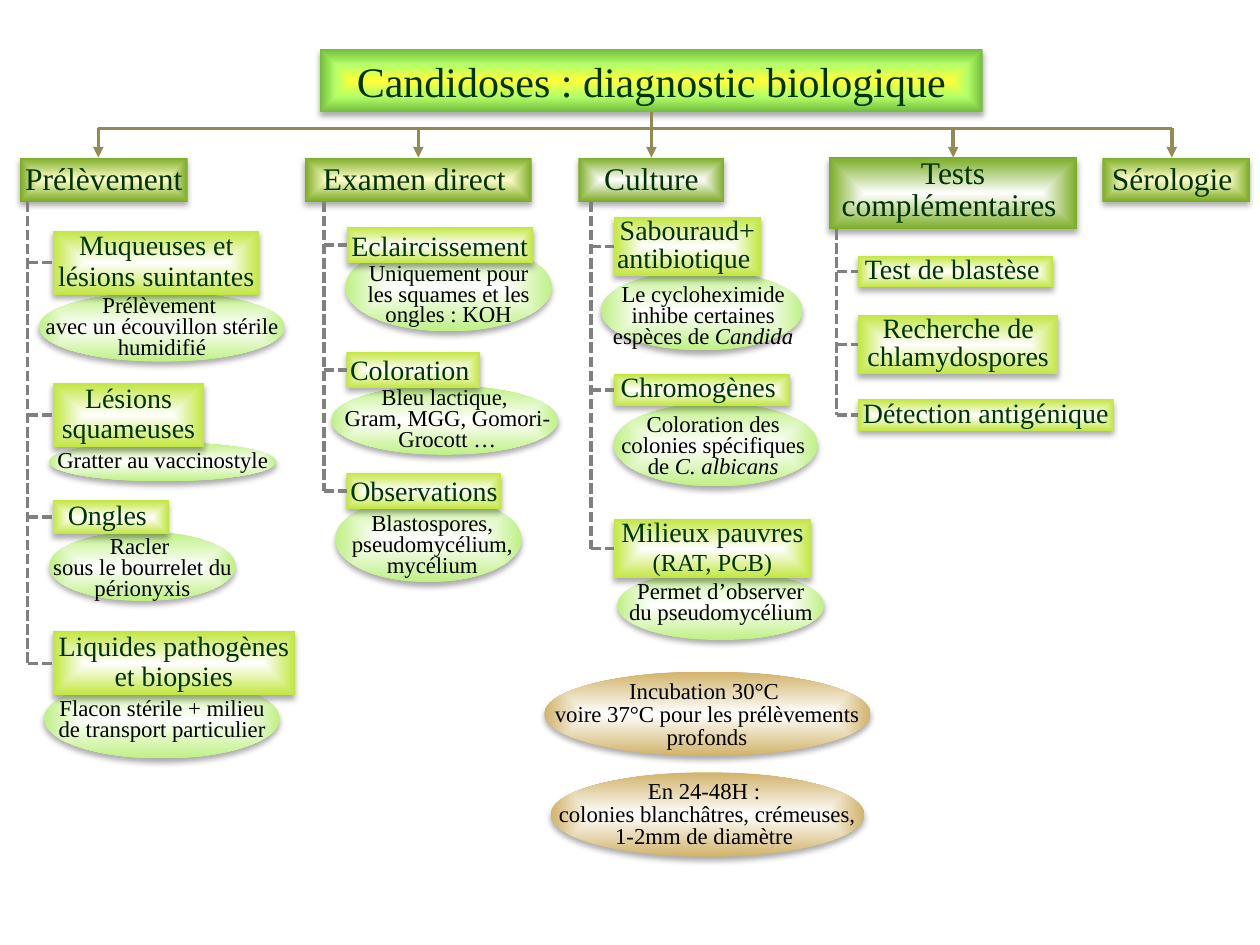
from lxml.etree import SubElement
from pptx import Presentation
from pptx.dml.color import RGBColor
from pptx.enum.dml import MSO_LINE
from pptx.enum.shapes import MSO_CONNECTOR, MSO_SHAPE
from pptx.enum.text import MSO_ANCHOR, MSO_AUTO_SIZE, PP_ALIGN
from pptx.oxml.ns import qn
from pptx.util import Cm, Pt

THEME = {
    "font": "Times New Roman",
    "title": 24, "head": 18, "item": 16, "small": 14, "note": 13,
    "dark": "003300", "black": "000000",
    "trunk": "948A54", "branch": "808080", "line": 2,
    "title_fill": ((0, "FFFF37"), (50, "B4FF69"), (100, "74BD3D")),
    "cream_head": ((0, "FFFFCC"), (100, "7BAC24")),
    "white_head": ((0, "FFFFFF"), (100, "7BAC24")),
    "item_fill": ((0, "FFFFFF"), (100, "C2E63E")),
    "note_fill": ((0, "FFFFFF"), (100, "BFF084")),
    "result_fill": ((0, "FFFFFF"), (100, "D1B369")),
}
THIN = (0.01, 0.01, 0.01, 0.01)
HEAD = (0.01, 0.01, 0.01, 0.04)
NONE = (0, 0, 0, 0)
HEAD_TOP, BAR_Y = 1.25, 1.02

TITLE = ("Candidoses : diagnostic biologique", (2.54, 0.39, 5.26, 0.5))

COLUMNS = [
    {"head": "Prélèvement ", "left": 0.16, "size": (1.33, 0.35), "arrow": 0.78,
     "fill": "cream_head", "spine": 0.22, "item_left": 0.42, "spacing": 0.9,
     "items": [
         (["Muqueuses et lésions suintantes"], (1.83, 1.64, 0.51)),
         (["Lésions squameuses"], (3.04, 1.2, 0.51)),
         (["Ongles "], (3.97, 0.92, 0.27)),
         (["Liquides pathogènes et biopsies"], (5.01, 1.92, 0.51))]},
    {"head": "Examen direct ", "left": 2.42, "size": (1.8, 0.35), "arrow": 3.32,
     "fill": "cream_head", "spine": 2.57, "item_left": 2.75, "spacing": None,
     "items": [
         (["Eclaircissement"], (1.8, 1.48, 0.29)),
         (["Coloration "], (2.79, 1.06, 0.29)),
         (["Observations"], (3.75, 1.23, 0.29))]},
    {"head": "Culture", "left": 4.59, "size": (1.16, 0.35), "arrow": 5.17,
     "fill": "white_head", "spine": 4.69, "item_left": 4.87, "spacing": Pt(16),
     "items": [
         (["Sabouraud+ antibiotique "], (1.72, 1.17, 0.47)),
         (["Chromogènes "], (2.97, 1.4, 0.25)),
         (["Milieux pauvres ", ("(RAT, PCB)", "small")], (4.12, 1.57, 0.47))]},
    {"head": "Tests complémentaires ", "left": 6.58, "size": (1.97, 0.57), "arrow": 7.58,
     "fill": "white_head", "spine": 6.64, "item_left": 6.81, "spacing": Pt(16),
     "items": [
         (["Test de blastèse "], (2.03, 1.55, 0.25)),
         (["Recherche de chlamydospores"], (2.5, 1.59, 0.47)),
         (["Détection antigénique"], (3.17, 2.03, 0.25))]},
    {"head": "Sérologie ", "left": 8.75, "size": (1.17, 0.35), "arrow": 9.3,
     "fill": "cream_head", "items": []},
]

NOTES = [
    ((0.31, 2.32, 1.95, 0.55), (0.31, 2.36, 1.95, 0.5),
     [["Prélèvement "], ["avec un écouvillon stérile humidifié"]]),
    ((0.39, 3.51, 1.8, 0.31), (0.39, 3.59, 1.8, 0.17), [["Gratter au vaccinostyle"]]),
    ((0.39, 4.22, 1.48, 0.55), (0.31, 4.27, 1.64, 0.5),
     [["Racler "], ["sous le bourrelet du périonyxis"]]),
    ((0.35, 5.39, 1.87, 0.63), (0.38, 5.56, 1.81, 0.34),
     [["Flacon stérile + milieu de transport particulier"]]),
    ((2.74, 1.93, 1.64, 0.7), (2.81, 2.1, 1.5, 0.51),
     [["Uniquement pour les squames et les ongles : KOH"]]),
    ((2.63, 3.06, 1.8, 0.55), (2.73, 3.09, 1.64, 0.5),
     [["Bleu lactique, "], ["Gram, MGG, Gomori-Grocott …"]]),
    ((2.66, 3.94, 1.48, 0.68), (2.68, 4.09, 1.5, 0.5),
     [["Blastospores, pseudomycélium, mycélium"]]),
    ((4.77, 2.15, 1.6, 0.63), (4.83, 2.27, 1.5, 0.51),
     [["Le cycloheximide inhibe certaines espèces de ", ("Candida", "italic")]]),
    ((4.87, 3.2, 1.62, 0.66), (4.91, 3.3, 1.5, 0.51),
     [["Coloration des colonies spécifiques de ", ("C. albicans", "italic")]]),
    ((4.9, 4.53, 1.64, 0.55), (4.97, 4.63, 1.5, 0.34),
     [["Permet d’observer du pseudomycélium"]]),
]

RESULTS = [
    ((4.32, 5.33, 2.59, 0.67), (4.33, 5.41, 2.56, 0.55),
     [["Incubation 30°C "], ["voire 37°C pour les prélèvements profonds"]]),
    ((4.37, 6.13, 2.49, 0.67), (4.41, 6.2, 2.4, 0.55),
     [["En 24-48H : "], ["colonies blanchâtres, crémeuses, 1-2mm de diamètre "]]),
]


def cm(inches):
    return Cm(inches * 2.54)


def add_color(parent, color, alpha=None):
    clr = SubElement(parent, qn("a:srgbClr"), val=color)
    if alpha:
        SubElement(clr, qn("a:alpha"), val=str(alpha * 1000))


def add_block(s, kind, at, fill):
    sp = s.shapes.add_shape(kind, *map(cm, at))
    sp.line.fill.background()
    pr = sp._element.spPr
    grad = pr.makeelement(qn("a:gradFill"), rotWithShape="1")
    stops = SubElement(grad, qn("a:gsLst"))
    for pos, color in THEME[fill]:
        add_color(SubElement(stops, qn("a:gs"), pos=str(pos * 1000)), color)
    way = SubElement(grad, qn("a:path"), attrib={"path": "shape"})
    SubElement(way, qn("a:fillToRect"), l="50000", t="50000", r="50000", b="50000")
    pr.find(qn("a:ln")).addprevious(grad)
    effects = SubElement(pr, qn("a:effectLst"))
    shadow = SubElement(effects, qn("a:outerShdw"), blurRad=str(Pt(3.5)),
                        dist=str(Pt(2.2)), dir="5400000", rotWithShape="0")
    add_color(shadow, THEME["black"], 32)
    return sp


def write(sp, paragraphs, size, color, spacing=None, insets=None):
    tf = sp.text_frame
    tf.word_wrap = True
    tf.auto_size = MSO_AUTO_SIZE.SHAPE_TO_FIT_TEXT
    tf.vertical_anchor = MSO_ANCHOR.TOP
    if insets:
        tf.margin_left, tf.margin_top, tf.margin_right, tf.margin_bottom = map(cm, insets)
    for i, runs in enumerate(paragraphs):
        p = tf.add_paragraph() if i else tf.paragraphs[0]
        p.alignment = PP_ALIGN.CENTER
        if spacing:
            p.line_spacing = spacing
        for run in runs:
            text, style = (run, None) if isinstance(run, str) else run
            r = p.add_run()
            r.text = text
            r.font.name = THEME["font"]
            r.font.size = Pt(THEME["small" if style == "small" else size])
            r.font.color.rgb = RGBColor.from_string(THEME[color])
            if style == "italic":
                r.font.italic = True


def add_line(s, x1, y1, x2, y2, color, dashed=False, arrow=False):
    c = s.shapes.add_connector(MSO_CONNECTOR.STRAIGHT, *map(cm, (x1, y1, x2, y2)))
    c.line.color.rgb = RGBColor.from_string(THEME[color])
    c.line.width = Pt(THEME["line"])
    if dashed:
        c.line.dash_style = MSO_LINE.SQUARE_DOT
    if arrow:
        SubElement(c.line._get_or_add_ln(), qn("a:tailEnd"), type="triangle")
    SubElement(c._element.spPr, qn("a:effectLst"))
    return c


def add_column(s, col, title):
    width, height = col["size"]
    head = add_block(s, MSO_SHAPE.RECTANGLE, (col["left"], HEAD_TOP, width, height), col["fill"])
    write(head, [[col["head"]]], "head", "dark", 0.85 if height > 0.5 else None, HEAD)
    x, middle = col["arrow"], col["left"] + width / 2
    centred = abs(x - middle) < 0.02
    x = middle if centred else x
    arrow = add_line(s, x, BAR_Y, x, HEAD_TOP, "trunk", arrow=True)
    if col["head"] == "Culture":
        arrow.begin_connect(title, 2)
    if centred:
        arrow.end_connect(head, 0)
    for runs, (top, w, h) in col["items"]:
        box = add_block(s, MSO_SHAPE.RECTANGLE, (col["item_left"], top, w, h), "item_fill")
        write(box, [runs], "item", "dark", col["spacing"], THIN)
        y = top + h / 2
        branch = add_line(s, col["spine"], y, col["item_left"], y, "branch", dashed=True)
        branch.end_connect(box, 1)
    if col["items"]:
        add_line(s, col["spine"], HEAD_TOP + height, col["spine"], y, "branch", dashed=True)


def main():
    prs = Presentation()
    prs.slide_width, prs.slide_height = cm(10), cm(7.5)
    s = prs.slides.add_slide(prs.slide_layouts[6])
    groups = ((RESULTS, "result_fill", Pt(13)), (NOTES, "note_fill", Pt(12)))
    for notes, fill, _ in groups:
        for oval, _, _ in notes:
            add_block(s, MSO_SHAPE.OVAL, oval, fill)
    text, at = TITLE
    title = add_block(s, MSO_SHAPE.RECTANGLE, at, "title_fill")
    write(title, [[text]], "title", "dark")
    add_line(s, COLUMNS[0]["arrow"], BAR_Y, COLUMNS[-1]["arrow"], BAR_Y, "trunk")
    for col in COLUMNS:
        add_column(s, col, title)
    for notes, _, spacing in groups:
        for _, at, paragraphs in notes:
            tb = s.shapes.add_textbox(*map(cm, at))
            write(tb, paragraphs, "note", "black", spacing, NONE)
    prs.save("out.pptx")


if __name__ == "__main__":
    main()
